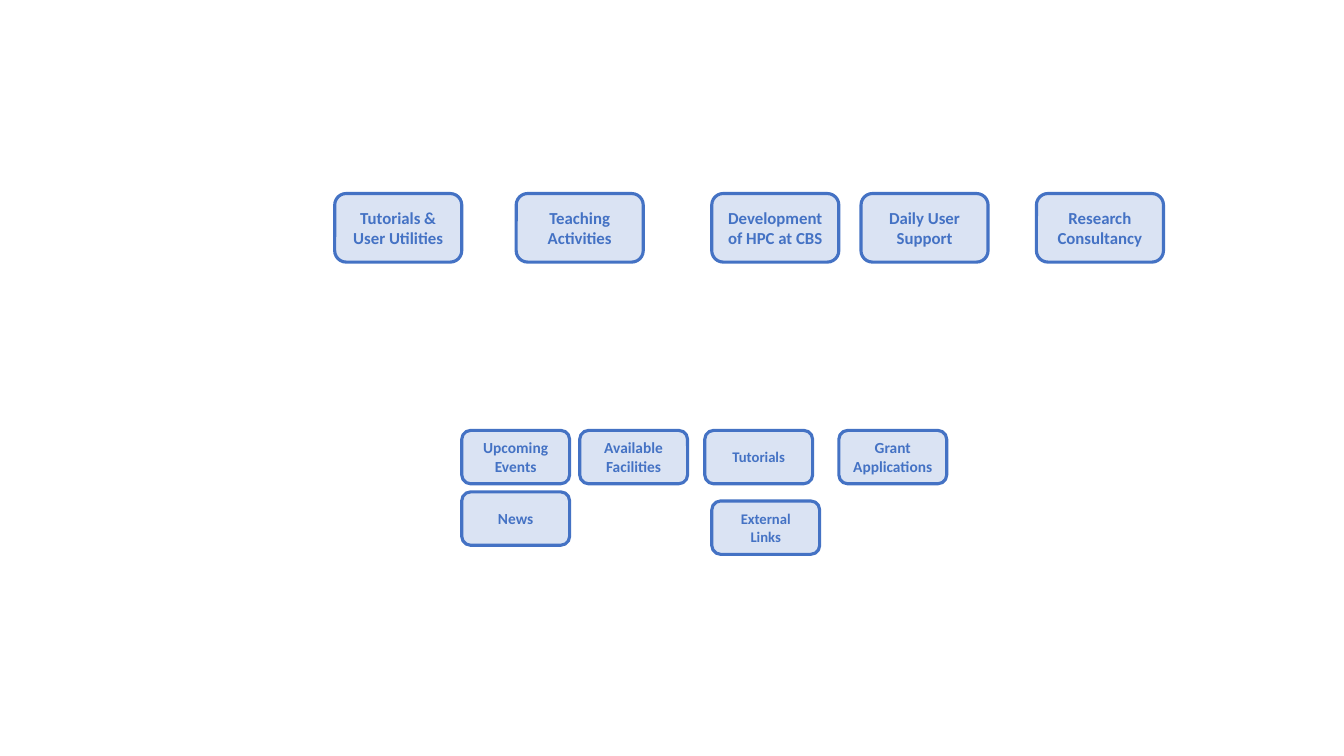
"""Build the slide of service areas and web page topics for high-performance computing."""
from dataclasses import dataclass

from pptx import Presentation
from pptx.dml.color import RGBColor
from pptx.enum.shapes import MSO_SHAPE
from pptx.enum.text import MSO_ANCHOR, PP_ALIGN
from pptx.util import Inches, Pt

SERVICE_TOP = 1.92
SERVICES = [
    (3.32, ["Tutorials &", "User Utilities"]),
    (5.12, ["Teaching Activities"]),
    (7.06, ["Development of HPC at CBS"]),
    (8.54, ["Daily User Support"]),
    (10.28, ["Research Consultancy"]),
]


@dataclass(frozen=True)
class Theme:
    """Colours, font and type sizes of the slide."""
    accent: RGBColor = RGBColor.from_string("4472C4")
    tint: RGBColor = RGBColor.from_string("DAE3F3")
    font: str = "Calibri"
    service_size: float = 12
    topic_size: float = 11
    small_size: float = 10.5
    outline: float = 2.25


THEME = Theme()
SERVICE_BOX = (1.26, 0.68)
TOPIC_BOX = (1.07, 0.53)
TOPICS = [
    (4.58, 4.27, "Upcoming Events", THEME.topic_size),
    (5.75, 4.27, "Available Facilities", THEME.topic_size),
    (6.99, 4.27, "Tutorials", THEME.small_size),
    (8.32, 4.27, "Grant Applications", THEME.topic_size),
    (4.58, 4.88, "News", THEME.topic_size),
    (7.06, 4.97, "External Links", THEME.small_size),
]


def add_box(page, left, top, dimensions, lines, size):
    """Add a rounded box with one centred paragraph per line."""
    width, height = dimensions
    box = page.shapes.add_shape(
        MSO_SHAPE.ROUNDED_RECTANGLE,
        Inches(left), Inches(top), Inches(width), Inches(height),
    )
    box.shadow.inherit = False
    box.fill.solid()
    box.fill.fore_color.rgb = THEME.tint
    box.line.color.rgb = THEME.accent
    box.line.width = Pt(THEME.outline)
    frame = box.text_frame
    frame.word_wrap = True
    frame.vertical_anchor = MSO_ANCHOR.MIDDLE
    frame.text = "\n".join(lines)
    for para in frame.paragraphs:
        para.alignment = PP_ALIGN.CENTER
        para.font.name = THEME.font
        para.font.size = Pt(size)
        para.font.bold = True
        para.font.color.rgb = THEME.accent


def main():
    """Lay out both groups of boxes and save the deck."""
    deck = Presentation()
    deck.slide_width, deck.slide_height = Inches(13.33), Inches(7.5)
    page = deck.slides.add_slide(deck.slide_layouts.get_by_name("Blank"))
    for left, lines in SERVICES:
        add_box(page, left, SERVICE_TOP, SERVICE_BOX, lines, THEME.service_size)
    for left, top, label, size in TOPICS:
        add_box(page, left, top, TOPIC_BOX, [label], size)
    deck.save("out.pptx")


if __name__ == "__main__":
    main()
